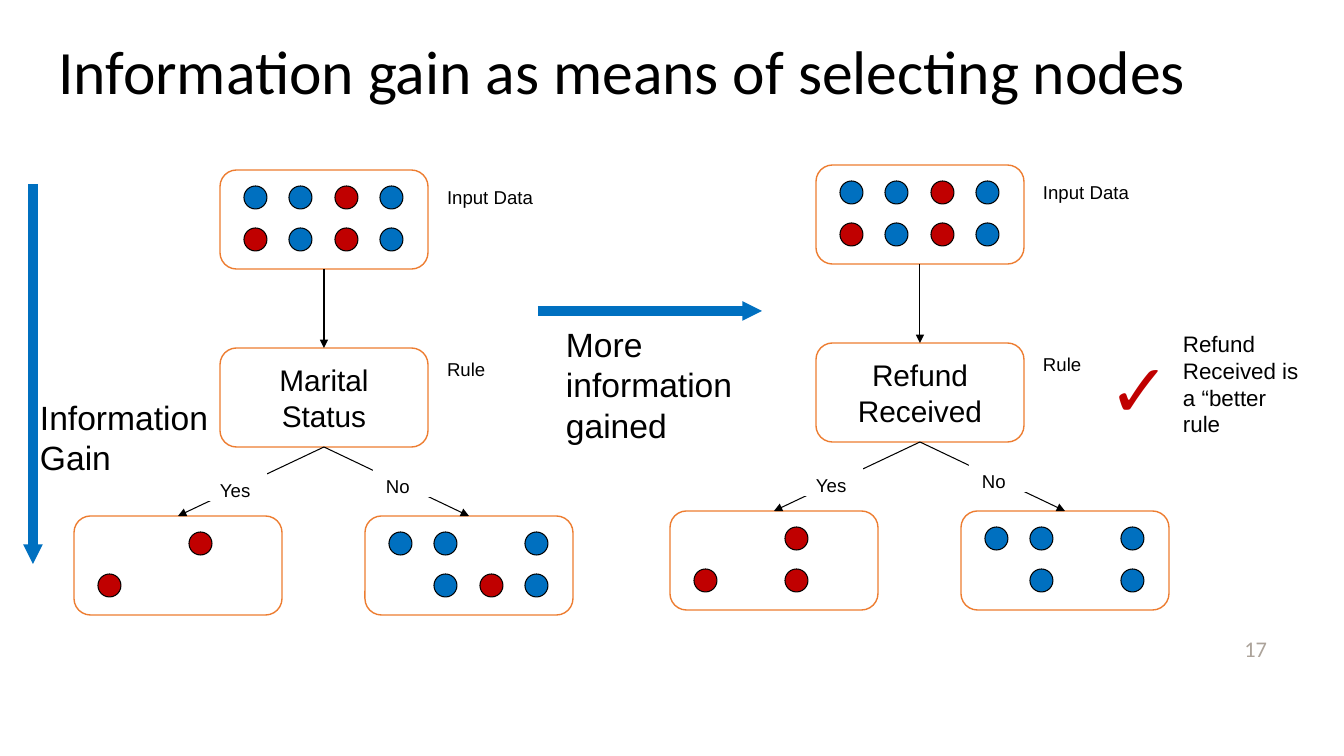
from lxml import etree
from pptx import Presentation
from pptx.dml.color import RGBColor
from pptx.enum.shapes import MSO_CONNECTOR, MSO_SHAPE
from pptx.enum.text import MSO_ANCHOR, PP_ALIGN
from pptx.oxml.ns import qn
from pptx.util import Emu, Pt

PX = 914400 / 100.8
RECT, ROUNDED, OVAL = MSO_SHAPE.RECTANGLE, MSO_SHAPE.ROUNDED_RECTANGLE, MSO_SHAPE.OVAL
LEFT, CENTER, RIGHT = PP_ALIGN.LEFT, PP_ALIGN.CENTER, PP_ALIGN.RIGHT
TOP, MIDDLE = MSO_ANCHOR.TOP, MSO_ANCHOR.MIDDLE
BLACK, WHITE, ORANGE, BLUE, RED, GREY = "000000", "FFFFFF", "ED7D31", "0070C0", "C00000", "ACA39A"

TITLE = "Information gain as means of selecting nodes"

# Dot rows: B is blue, R is red, a full stop is an empty place
TREES = [
    {"origin": (670, 165), "rule": "Refund Received", "input": ("BBRB", "RBRB"),
     "yes": ("..R.", "R.R."), "no": ("BB.B", ".B.B")},
    {"origin": (74, 170), "rule": "Marital Status", "input": ("BBRB", "RBRB"),
     "yes": ("..R.", "R..."), "no": ("BB.B", ".BRB")},
]
DOT_COLOURS = {"B": BLUE, "R": RED}

# Places within a tree
BOX_W, BOX_H, DOT = 208, 99, 23
DOT_COLUMNS, DOT_ROWS = (24, 69, 115, 160), (16, 58)
BOXES = {"rule": (146, 178), "yes": (0, 346), "no": (291, 346), "input": (146, 0)}
BRANCHES = [("input", "rule"), ("rule", "yes"), ("rule", "no")]
LABELS = [("Yes", 133, 302, 60), ("No", 299, 298, 60),
          ("Input Data", 360, 9, 168), ("Rule", 360, 181, 168)]
LABEL_H = 29

THICK_ARROWS = [((33, 184), (33, 564)), ((538, 311), (762, 311))]
NOTES = [
    ("17", (964, 630, 313, 40),
     {"size": 16, "name": "Calibri", "color": GREY, "align": RIGHT}),
    ("Information Gain", (30, 392, 205, 92), {"size": 24}),
    ("More information gained", (556, 319, 202, 132), {"size": 24}),
    ("✓", (1099, 338, 80, 101),
     {"size": 53.3, "name": "Calibri", "color": RED, "bold": True, "wrap": False}),
    ("Refund Received is a “better\nrule", (1173, 325, 140, 119), {"size": 16}),
]


def px(*lengths):
    return [Emu(round(n * PX)) for n in lengths]


def rgb(colour):
    return RGBColor.from_string(colour)


def write(s, text, size, name="Arial", color=BLACK, bold=False, align=LEFT,
          anchor=TOP, inset=(10, 5), wrap=True):
    tf = s.text_frame
    side, end = px(*inset)
    frame = {"word_wrap": wrap, "vertical_anchor": anchor, "margin_left": side,
             "margin_right": side, "margin_top": end, "margin_bottom": end}
    for key, value in frame.items():
        setattr(tf, key, value)
    p = tf.paragraphs[0]
    p.alignment = align
    for i, line in enumerate(text.split("\n")):
        if i:
            p.add_line_break()
        r = p.add_run()
        r.text = line
        for key, value in {"size": Pt(size), "name": name, "bold": bold}.items():
            setattr(r.font, key, value)
        r.font.color.rgb = rgb(color)
    return p


def add_shape(shapes, kind, box, fill, line=None, width=1):
    s = shapes.add_shape(kind, *px(*box))
    s.shadow.inherit = False
    s.fill.solid()
    s.fill.fore_color.rgb = rgb(fill)
    if line:
        s.line.color.rgb = rgb(line)
        s.line.width = Pt(width)
    else:
        s.line.fill.background()
    return s


def add_arrow(shapes, start, end, colour=BLACK, width=0.75, head="med"):
    s = shapes.add_connector(MSO_CONNECTOR.STRAIGHT, *px(*start, *end))
    s.line.color.rgb = rgb(colour)
    s.line.width = Pt(width)
    etree.SubElement(s.line._get_or_add_ln(), qn("a:tailEnd"),
                     type="triangle", w=head, len=head)
    etree.SubElement(s._element.spPr, qn("a:effectLst"))


def add_tree(shapes, tree):
    left, top = tree["origin"]
    for part, (x, y) in BOXES.items():
        box_x, box_y = left + x, top + y
        s = add_shape(shapes, ROUNDED, (box_x, box_y, BOX_W, BOX_H), WHITE, ORANGE)
        if part == "rule":
            write(s, tree[part], 21.3, align=CENTER, anchor=MIDDLE, inset=(13, 7))
            continue
        for dots, dot_y in zip(tree[part], DOT_ROWS):
            for dot, dot_x in zip(dots, DOT_COLUMNS):
                if dot in DOT_COLOURS:
                    add_shape(shapes, OVAL, (box_x + dot_x, box_y + dot_y, DOT, DOT),
                              DOT_COLOURS[dot], BLACK, 0.75)
    for parent, child in BRANCHES:
        (x1, y1), (x2, y2) = BOXES[parent], BOXES[child]
        add_arrow(shapes, (left + x1 + BOX_W / 2, top + y1 + BOX_H),
                  (left + x2 + BOX_W / 2, top + y2))
    for text, x, y, width in LABELS:
        s = add_shape(shapes, RECT, (left + x, top + y, width, LABEL_H), WHITE)
        write(s, text, 13.3, inset=(13, 7))


def main():
    prs = Presentation()
    prs.slide_width, prs.slide_height = px(1344, 756)
    slide = prs.slides.add_slide(prs.slide_layouts[5])
    shapes = slide.shapes

    title = shapes.title
    title.left, title.top, title.width, title.height = px(48, 12, 1266, 126)
    write(title, TITLE, 44, "Calibri", anchor=MIDDLE).line_spacing = 0.9

    for tree in TREES:
        add_tree(shapes, tree)
    for start, end in THICK_ARROWS:
        add_arrow(shapes, start, end, BLUE, 7, "sm")
    for text, box, style in NOTES:
        write(shapes.add_textbox(*px(*box)), text, **style)

    prs.save("out.pptx")


if __name__ == "__main__":
    main()
